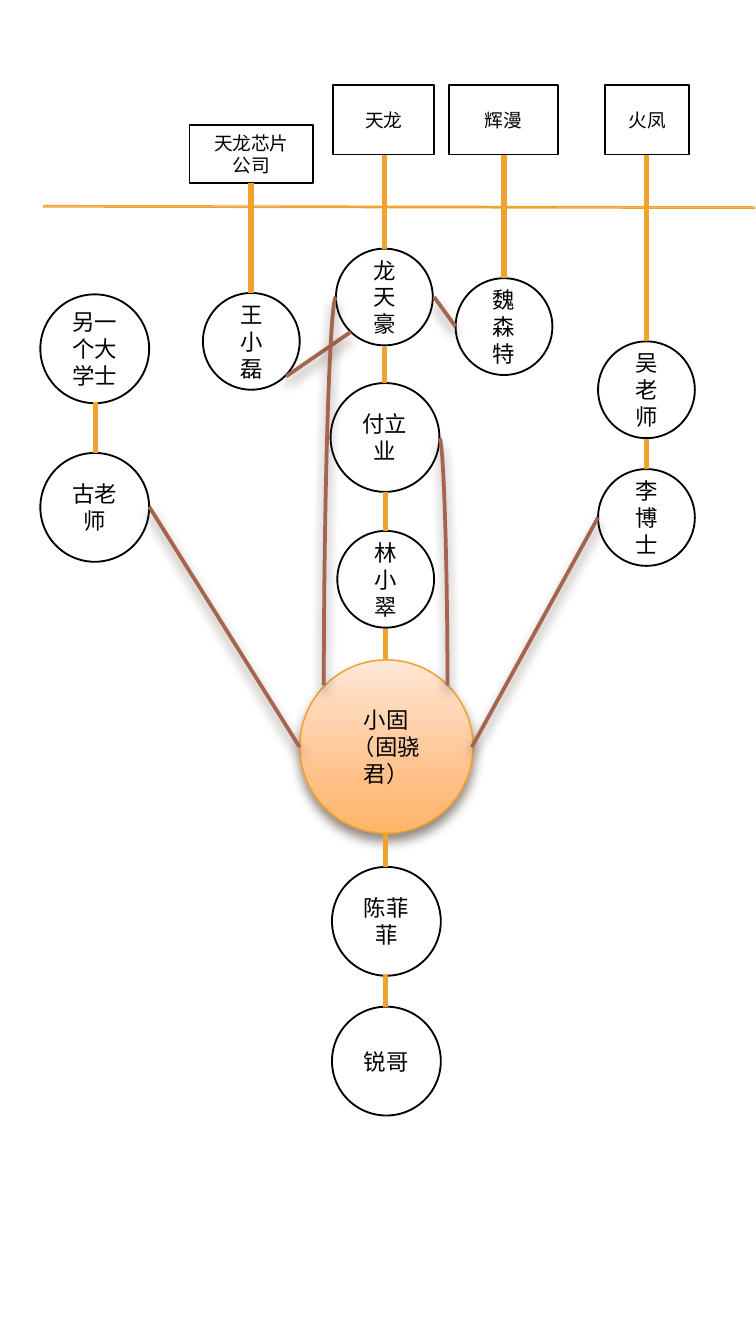
from lxml.etree import SubElement
from pptx import Presentation
from pptx.dml.color import RGBColor
from pptx.enum.shapes import MSO_CONNECTOR, MSO_SHAPE
from pptx.enum.text import MSO_ANCHOR, PP_ALIGN
from pptx.oxml.ns import qn
from pptx.util import Emu, Pt

SCALE = 9144  # EMU in one px, 100 px to the inch
FONT = "Noto Sans CJK SC"
BLACK, WHITE = "000000", "FFFFFF"
ORANGE, BROWN, SHADE = "F0A22E", "A5644E", "4E3B30"
SMALL, MEDIUM, LARGE = 72, 81, 129  # circle diameters
HERO_STOPS = [(0, "FFE7D7"), (72, "FFBE84"), (100, "FFB468")]

# Groups: left, top, width, height, lines of text
GROUPS = [
    (141, 93, 92, 43, ["天龙芯片", "公司"]),
    (248, 63, 75, 52, ["天龙"]),
    (334, 63, 81, 52, ["辉漫"]),
    (450, 63, 63, 52, ["火凤"]),
]
# People: left, top, diameter, name
PEOPLE = [
    (30, 219, MEDIUM, "另一个大学士"),
    (30, 337, MEDIUM, "古老师"),
    (151, 218, SMALL, "王小磊"),
    (250, 185, SMALL, "龙天豪"),
    (246, 285, MEDIUM, "付立业"),
    (251, 395, SMALL, "林小翠"),
    (247, 645, MEDIUM, "陈菲菲"),
    (247, 749, MEDIUM, "锐哥"),
    (339, 207, SMALL, "魏森特"),
    (445, 254, SMALL, "吴老师"),
    (445, 349, SMALL, "李博士"),
]
# Lineage: x of each column, then the top and bottom of its links
LINEAGE = {
    71: [(299, 337)],
    187: [(136, 218)],
    286: [(115, 185), (258, 285)],
    287: [(366, 395), (468, 491), (620, 645), (725, 749)],
    375: [(115, 207)],
    481: [(115, 254), (327, 349)],
}
# Side ties: start x, y and end x, y
TIES = [
    (323, 221, 339, 243),
    (213, 280, 261, 247),
    (351, 556, 445, 385),
    (111, 377, 223, 556),
]
CURVED_TIES = [(250, 221, 241, 510), (327, 326, 333, 510)]


def px(*values):
    return [Emu(value * SCALE) for value in values]


def color(code):
    return RGBColor.from_string(code)


def add_color(parent, code):
    return SubElement(parent, qn("a:srgbClr"), val=code)


def add_shadow(shape):
    effects = shape._element.spPr.find(qn("a:effectLst"))
    shadow = SubElement(effects, qn("a:outerShdw"), blurRad=str(Pt(6)),
                        dist=str(Pt(4)), dir="5400000", rotWithShape="0")
    SubElement(add_color(shadow, SHADE), qn("a:alpha"), val="60000")


def fill_gradient(shape, stops):
    shape.fill.gradient()
    shape.fill.gradient_angle = 270
    stop_list = shape._element.spPr.find(".//" + qn("a:gsLst"))
    for stop in list(stop_list):
        stop_list.remove(stop)
    for position, code in stops:
        stop = SubElement(stop_list, qn("a:gs"), pos=str(position * 1000))
        add_color(stop, code)


def write_text(shape, lines, size):
    frame = shape.text_frame
    frame.word_wrap = True
    frame.vertical_anchor = MSO_ANCHOR.MIDDLE
    for index, line in enumerate(lines):
        para = frame.add_paragraph() if index else frame.paragraphs[0]
        para.alignment = PP_ALIGN.CENTER
        span = para.add_run()
        span.text = line
        span.font.color.rgb = color(BLACK)
        for name, value in {"size": Pt(size), "name": FONT}.items():
            setattr(span.font, name, value)
        SubElement(span._r.get_or_add_rPr(), qn("a:ea"), typeface=FONT)


def add_node(page, kind, bounds, lines, size, outline=BLACK, weight=1):
    node = page.shapes.add_shape(kind, *px(*bounds))
    node.shadow.inherit = False
    node.fill.solid()
    node.fill.fore_color.rgb = color(WHITE)
    node.line.color.rgb = color(outline)
    node.line.width = Pt(weight)
    write_text(node, lines, size)
    return node


def add_circle(page, left, top, diameter, lines, **outline):
    bounds = (left, top, diameter, diameter)
    return add_node(page, MSO_SHAPE.OVAL, bounds, lines, 12, **outline)


def add_link(page, ends, code, weight, kind=MSO_CONNECTOR.STRAIGHT):
    link = page.shapes.add_connector(kind, *px(*ends))
    link.line.color.rgb = color(code)
    link.line.width = Pt(weight)
    SubElement(link._element.spPr, qn("a:effectLst"))
    return link


def add_tie(page, ends, curved=False):
    kind = MSO_CONNECTOR.CURVE if curved else MSO_CONNECTOR.STRAIGHT
    tie = add_link(page, ends, BROWN, 2, kind)
    if curved:  # a quarter bend instead of an S bend
        tie._element.spPr.find(qn("a:prstGeom")).set("prst", "curvedConnector2")
    add_shadow(tie)


def main():
    # Upright 9:16 page
    deck = Presentation()
    deck.slide_height = Emu(1000 * SCALE)
    deck.slide_width = Emu(deck.slide_height * 9 // 16)
    page = deck.slides.add_slide(deck.slide_layouts[6])

    # Double rule under the groups
    for top in (153, 154):
        add_link(page, (32, top, 562, top + 1), ORANGE, 0.75)

    # Groups and people
    for *bounds, lines in GROUPS:
        add_node(page, MSO_SHAPE.RECTANGLE, bounds, lines, 10)
    for left, top, diameter, name in PEOPLE:
        add_circle(page, left, top, diameter, [name])

    # Central figure
    hero = add_circle(page, 223, 491, LARGE, ["小固", "（固骁君）"],
                      outline=ORANGE, weight=0.79)
    fill_gradient(hero, HERO_STOPS)
    add_shadow(hero)

    # Links down each column, then ties across
    for x, spans in LINEAGE.items():
        for top, bottom in spans:
            add_link(page, (x, top, x, bottom), ORANGE, 3)
    for ends in TIES:
        add_tie(page, ends)
    for ends in CURVED_TIES:
        add_tie(page, ends, curved=True)

    deck.save("out.pptx")


if __name__ == "__main__":
    main()
